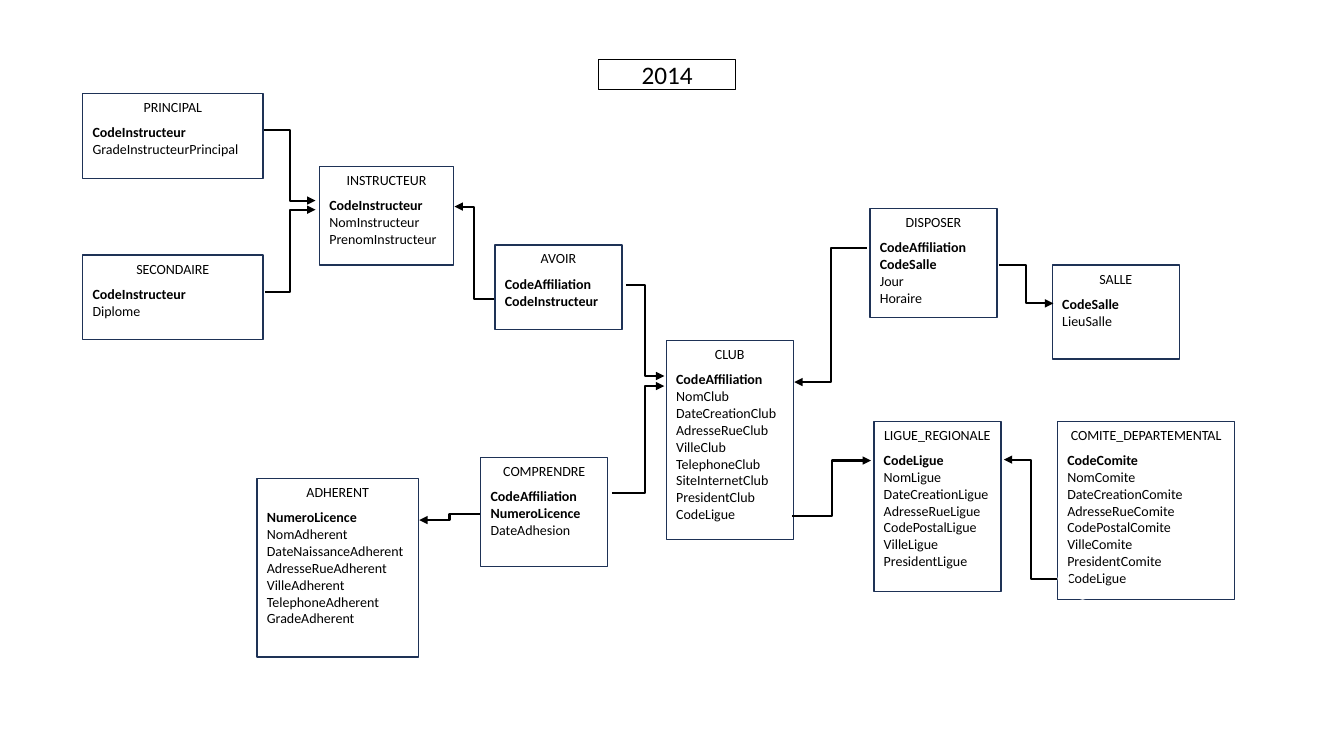
"""Build the 2014 relational schema of a sports club: tables and their foreign-key links."""
from dataclasses import dataclass

import lxml.etree
import pptx
import pptx.dml.color
import pptx.enum.dml
import pptx.enum.shapes
import pptx.enum.text
import pptx.oxml.ns
import pptx.shapes.autoshape
import pptx.slide
import pptx.util

Pt = pptx.util.Pt
RGBColor = pptx.dml.color.RGBColor
Shapes = pptx.enum.shapes.MSO_SHAPE
Align = pptx.enum.text.PP_ALIGN
qn = pptx.oxml.ns.qn

BLACK = RGBColor(0x00, 0x00, 0x00)
WHITE = RGBColor(0xFF, 0xFF, 0xFF)
NAVY = RGBColor(0x1E, 0x32, 0x56)
FONT = "Calibri"
DOT_SIZE = 8.6


@dataclass(frozen=True)
class Entity:
    """A table of the schema, with its key columns and its other columns."""
    name: str
    left: float
    top: float
    width: float
    height: float
    keys: tuple[str, ...]
    columns: tuple[str, ...] = ()


@dataclass(frozen=True)
class Link:
    """An elbow arrow, bending at a fraction of its horizontal run."""
    start: tuple[float, float]
    end: tuple[float, float]
    bend: float = 0.5


ENTITIES = (
    Entity("CLUB", 475.9, 243.4, 90.7, 141.8, ("CodeAffiliation",),
           ("NomClub", "DateCreationClub", "AdresseRueClub", "VilleClub", "TelephoneClub",
            "SiteInternetClub", "PresidentClub", "CodeLigue")),
    Entity("LIGUE_REGIONALE", 624.2, 301, 90.7, 121.7, ("CodeLigue",),
           ("NomLigue", "DateCreationLigue", "AdresseRueLigue", "CodePostalLigue",
            "VilleLigue", "PresidentLigue")),
    Entity("COMITE_DEPARTEMENTAL", 755.3, 301, 126.7, 127.4, ("CodeComite",),
           ("NomComite", "DateCreationComite", "AdresseRueComite", "CodePostalComite",
            "VilleComite", "PresidentComite", "CodeLigue")),
    Entity("SALLE", 751.7, 189.4, 90.7, 67, ("CodeSalle",), ("LieuSalle",)),
    Entity("DISPOSER", 621.4, 149, 90.7, 77.8, ("CodeAffiliation", "CodeSalle"),
           ("Jour", "Horaire")),
    Entity("INSTRUCTEUR", 228.2, 118.8, 95.8, 70.6, ("CodeInstructeur",),
           ("NomInstructeur", "PrenomInstructeur")),
    Entity("PRINCIPAL", 59, 67, 128.9, 60.5, ("CodeInstructeur",),
           ("GradeInstructeurPrincipal",)),
    Entity("SECONDAIRE", 59, 182.2, 128.9, 60.5, ("CodeInstructeur",), ("Diplome",)),
    Entity("AVOIR", 353.5, 175, 90.7, 60.5, ("CodeAffiliation", "CodeInstructeur")),
    Entity("COMPRENDRE", 343.4, 326.9, 90.7, 77.8, ("CodeAffiliation", "NumeroLicence"),
           ("DateAdhesion",)),
    Entity("ADHERENT", 183.6, 342, 115.2, 127.4, ("NumeroLicence",),
           ("NomAdherent", "DateNaissanceAdherent", "AdresseRueAdherent", "VilleAdherent",
            "TelephoneAdherent", "GradeAdherent")),
)

LINKS = (
    Link((352.8, 213.8), (324.7, 147.6)),
    Link((189.4, 208.8), (225.4, 149.8)),
    Link((188.6, 92.9), (225.4, 143.3)),
    Link((447.1, 203.8), (474.5, 268.6)),
    Link((342.7, 367.2), (299.5, 371.5)),
    Link((437, 352.1), (474.5, 275.8), 0.63),
    Link((619.2, 177.1), (567.4, 272.9)),
    Link((565.9, 368.6), (622.1, 329)),
    Link((755.3, 413.3), (717.1, 328.3)),
    Link((713.5, 189.4), (752.4, 216.7)),
)

COMITE_DOTS = ((755.3, 409), (769, 419.8))


def add_box(slide: pptx.slide.Slide, kind: Shapes, left: float, top: float, width: float,
            height: float, outline: RGBColor | None) -> pptx.shapes.autoshape.Shape:
    """Add a white shape with an optional thin outline."""
    box = slide.shapes.add_shape(kind, Pt(left), Pt(top), Pt(width), Pt(height))
    box.shadow.inherit = False
    box.fill.solid()
    box.fill.fore_color.rgb = WHITE
    if outline is None:
        box.line.fill.background()
    else:
        box.line.color.rgb = outline
        box.line.width = Pt(1)
    return box


def format_text(paragraph, size: float, align: Align, bold: bool = False) -> None:
    """Align a paragraph and style its runs."""
    paragraph.alignment = align
    for run in paragraph.runs:
        run.font.name = FONT
        run.font.size = Pt(size)
        run.font.bold = bold
        run.font.color.rgb = BLACK


def add_entity(slide: pptx.slide.Slide, entity: Entity) -> None:
    """Draw a table with its name, bold keys and plain columns."""
    box = add_box(slide, Shapes.FLOWCHART_PROCESS, entity.left, entity.top,
                  entity.width, entity.height, NAVY)
    frame = box.text_frame
    frame.word_wrap = True
    frame.vertical_anchor = pptx.enum.text.MSO_ANCHOR.TOP
    frame.text = "\n".join((entity.name, *entity.keys, *entity.columns))
    heading, *fields = frame.paragraphs
    format_text(heading, 10, Align.CENTER)
    heading.space_after = Pt(6)
    for index, field in enumerate(fields):
        format_text(field, 10, Align.LEFT, bold=index < len(entity.keys))


def add_link(slide: pptx.slide.Slide, link: Link) -> None:
    """Draw an elbow connector with a triangular head at its end."""
    arrow = slide.shapes.add_connector(
        pptx.enum.shapes.MSO_CONNECTOR.ELBOW, *map(Pt, link.start + link.end))
    arrow.line.color.rgb = BLACK
    arrow.line.width = Pt(1.5)
    properties = arrow._element.spPr
    guides = properties.find(qn("a:prstGeom")).get_or_add_avLst()
    lxml.etree.SubElement(guides, qn("a:gd"), name="adj1",
                          fmla=f"val {round(link.bend * 100000)}")
    lxml.etree.SubElement(properties.find(qn("a:ln")), qn("a:tailEnd"), type="triangle")
    lxml.etree.SubElement(properties, qn("a:effectLst"))


def add_year(slide: pptx.slide.Slide) -> None:
    """Draw the framed year at the top of the slide."""
    year = add_box(slide, Shapes.RECTANGLE, 427.7, 42.5, 97.9, 21.6, BLACK)
    year.text_frame.text = "2014"
    year.text_frame.vertical_anchor = pptx.enum.text.MSO_ANCHOR.MIDDLE
    format_text(year.text_frame.paragraphs[0], 18, Align.CENTER)


def main() -> None:
    """Build and save the slide."""
    deck = pptx.Presentation()
    deck.slide_width, deck.slide_height = Pt(960), Pt(540)
    slide = deck.slides.add_slide(deck.slide_layouts[6])
    for entity in ENTITIES:
        add_entity(slide, entity)
    for link in LINKS:
        add_link(slide, link)
    add_year(slide)
    for left, top in COMITE_DOTS:
        add_box(slide, Shapes.OVAL, left, top, DOT_SIZE, DOT_SIZE, None)
    deck.save("out.pptx")


main()
